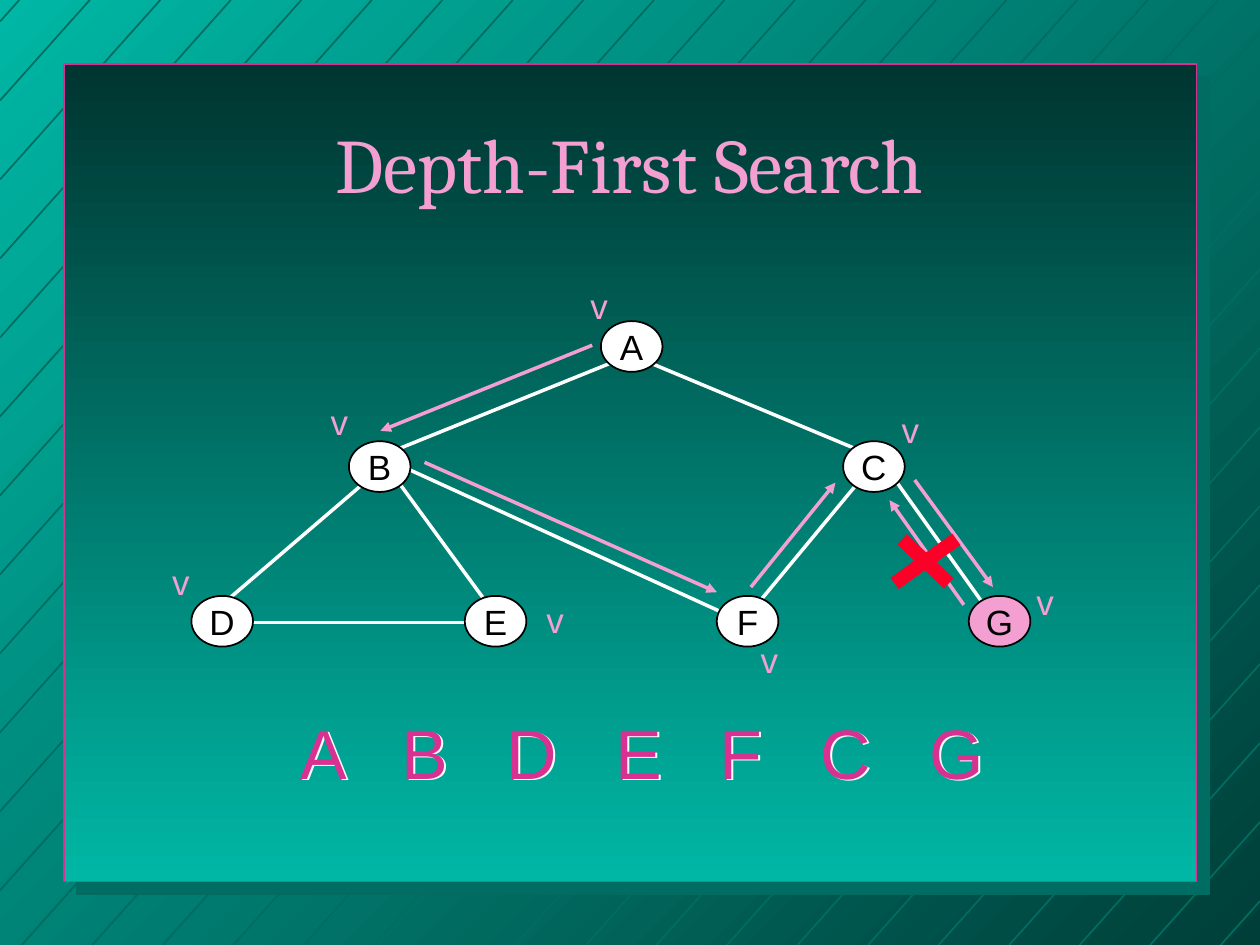
from pptx import Presentation
from pptx.dml.color import RGBColor as Rgb
from pptx.enum.shapes import MSO_CONNECTOR as Conn, MSO_SHAPE as Kind
from pptx.enum.text import MSO_ANCHOR as Anchor, PP_ALIGN as Align
from pptx.oxml.ns import qn
from pptx.util import Pt
from lxml.etree import SubElement as Sub


class Theme:
    head, body = "Cambria", "Arial"
    big, mid, small = 44, 40, 20
    teal, deep, night, hatch = "00B7A5", "003F39", "003530", "006C62"
    pink, rose, red = "F39FD1", "D93192", "FC0128"
    white, black = "FFFFFF", "000000"


TITLE = "Depth-First Search"
ORDER = "A B D E F C G"
NODES = [
    ("A", 361, 198, Theme.white),
    ("B", 217, 266.6, Theme.white),
    ("C", 499.4, 266.6, Theme.white),
    ("D", 127, 355, Theme.white),
    ("E", 283.2, 355, Theme.white),
    ("F", 427.2, 355, Theme.white),
    ("G", 571.2, 355, Theme.pink),
]
EDGES = [
    (232.6, 267.8, 412.6, 349.9),
    (142.6, 355.7, 272.2, 355.7),
    (206.6, 277.2, 131.8, 341.3),
    (491, 275, 434.9, 342.7),
    (512.6, 275.8, 562.3, 345.6),
    (226.8, 274.3, 275.8, 341.3),
    (349.2, 207.4, 228.2, 256.3),
    (371.5, 207.4, 490.3, 257),
]
STEPS = [
    (338.4, 197.3, 217.4, 246.2),
    (242.6, 264.2, 409.7, 338.4),
    (429.1, 335.5, 477.4, 275.8),
    (522.7, 274.3, 567.4, 335.5),
    (550.8, 345.6, 508.3, 285.8),
]
CROSS = [(515.5, 308.2, 542.2, 333.4), (546.5, 308.2, 511.2, 333.4)]
MARKS = [
    (342.4, 174.6), (194, 240.8), (103.3, 332.3), (317.2, 353.9),
    (439.6, 376.9), (520.2, 245.2), (597.2, 343.8),
]
WIDE, HIGH = 720, 540
SLOPE, FIRST, GAP, COUNT = 1.12, 11, 40.3, 30

deck = Presentation()
deck.slide_width, deck.slide_height = Pt(WIDE), Pt(HIGH)
slide = deck.slides.add_slide(deck.slide_layouts[5])
shapes = slide.shapes


def blend(fill, start, end, angle):
    fill.gradient()
    fill.gradient_angle = angle
    for stop, color in zip(fill.gradient_stops, (start, end)):
        stop.color.rgb = Rgb.from_string(color)


def shade(shape, color, dist):
    shape.shadow.inherit = False
    glow = Sub(shape._element.spPr.find(qn("a:effectLst")), qn("a:outerShdw"),
               dist=str(Pt(dist)), dir="2700000", algn="ctr", rotWithShape="0")
    Sub(glow, qn("a:srgbClr"), val=color)


def write(shape, text, size=Theme.small, color=Theme.pink, font=Theme.body,
          pad=0, wrap=False, space=0):
    frame = shape.text_frame
    frame.word_wrap = wrap
    frame.vertical_anchor = Anchor.MIDDLE
    frame.margin_left = frame.margin_right = Pt(pad)
    frame.margin_top = frame.margin_bottom = Pt(pad / 2)
    para = frame.paragraphs[0]
    para.alignment = Align.CENTER
    run = para.add_run()
    run.text = text
    run.font.size, run.font.name = Pt(size), font
    run.font.color.rgb = Rgb.from_string(color)
    if space:
        run._r.get_or_add_rPr().set("spc", str(round(space * 100)))


def box(x, y, w, h):
    return shapes.add_textbox(Pt(x), Pt(y), Pt(w), Pt(h))


def link(ends, color, width, arrow=False):
    line = shapes.add_connector(Conn.STRAIGHT, *map(Pt, ends))
    line.line.color.rgb = Rgb.from_string(color)
    line.line.width = Pt(width)
    Sub(line._element.spPr, qn("a:effectLst"))
    if arrow:
        Sub(line.line._get_or_add_ln(), qn("a:tailEnd"), type="triangle")


blend(slide.background.fill, Theme.teal, Theme.deep, 315)
for i in range(COUNT):
    top = FIRST + i * GAP
    right, left = min(top, WIDE), max(0, top - HIGH / SLOPE)
    link((right, (top - right) * SLOPE, left, (top - left) * SLOPE),
         Theme.hatch, 1)

panel = shapes.add_shape(Kind.RECTANGLE, Pt(36.7), Pt(36.7), Pt(647), Pt(467))
blend(panel.fill, Theme.night, Theme.teal, 270)
panel.line.color.rgb = Rgb.from_string(Theme.rose)
panel.line.width = Pt(1)
shade(panel, Theme.hatch, 9.9)

title = shapes.title
title.left, title.top, title.width, title.height = map(Pt, (54, 48, 612, 90))
write(title, TITLE, size=Theme.big, font=Theme.head, pad=7.2, wrap=True)
panel._element.addnext(title._element)

for ends in EDGES:
    link(ends, Theme.white, 2)

for name, x, y, color in NODES:
    node = shapes.add_shape(Kind.OVAL, Pt(x - 17.6), Pt(y - 14.5), Pt(35.2), Pt(29))
    node.shadow.inherit = False
    node.fill.solid()
    node.fill.fore_color.rgb = Rgb.from_string(color)
    node.line.color.rgb = Rgb.from_string(Theme.black)
    node.line.width = Pt(1)
    write(node, name, color=Theme.black)

for ends in STEPS:
    link(ends, Theme.pink, 2, arrow=True)

for x, y in MARKS:
    write(box(x - 12.6, y - 15.5, 25.2, 31), "v", pad=7.2)

order = box(163.5, 401.8, 407.5, 54.7)
write(order, ORDER, size=Theme.mid, color=Theme.rose, pad=7.2, space=11.1)
shade(order, Theme.white, 1.6)

for ends in CROSS:
    link(ends, Theme.red, 8)

deck.save("out.pptx")
